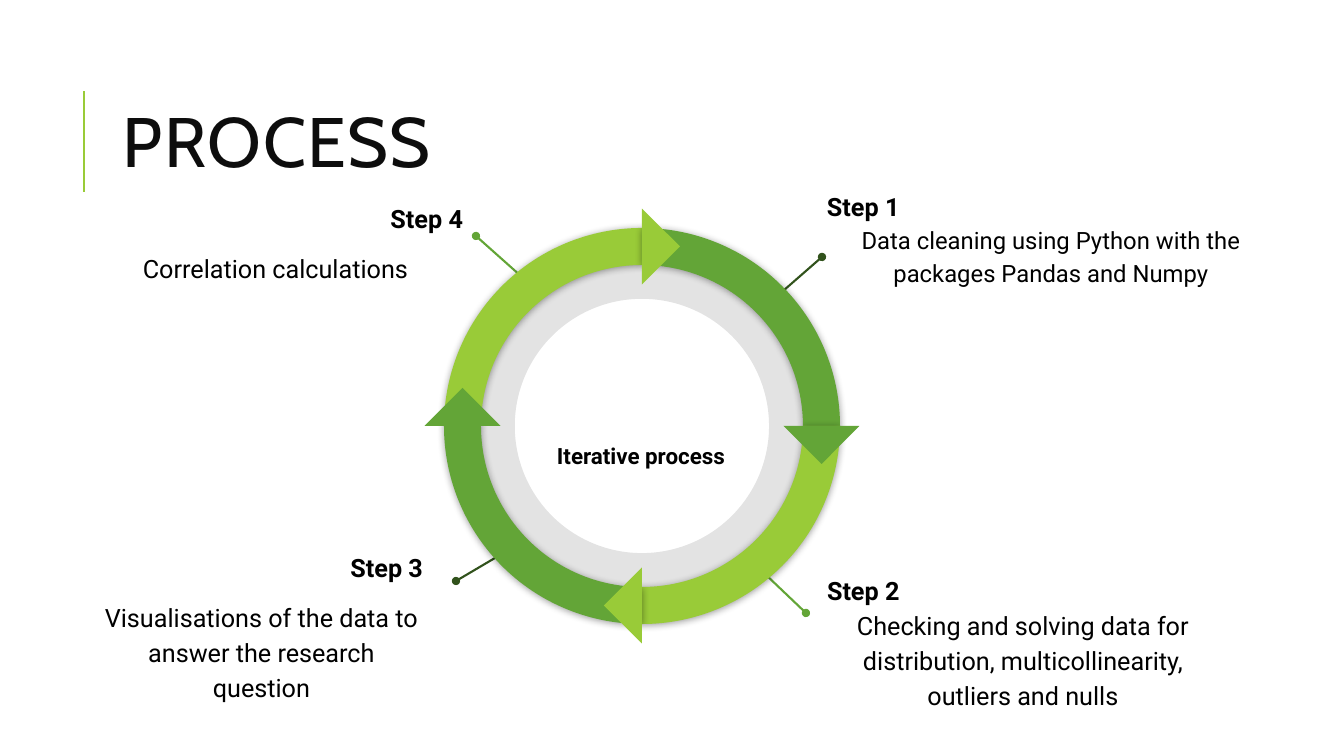
from math import cos, radians, sin

from lxml.etree import SubElement
from pptx import Presentation
from pptx.dml.color import RGBColor
from pptx.enum.shapes import MSO_CONNECTOR as Connector, MSO_SHAPE as Shape
from pptx.enum.text import MSO_ANCHOR as Anchor, PP_ALIGN as Align
from pptx.oxml.ns import qn
from pptx.util import Pt

LIME, GREEN, FOREST, BLACK = "99CB38", "63A537", "31521C", "000000"
TITLE = "PROCESS"
CORE = "Iterative process"
STEPS = [
    ("Step 1", "Data cleaning using Python with the packages Pandas and Numpy",
     (814, 174, 474, 165), Align.LEFT, 17, 0),
    ("Step 2", "Checking and solving data for distribution, multicollinearity, outliers and nulls",
     (814, 558, 418, 182), Align.LEFT, 18, 0),
    ("Step 3", "Visualisations of the data to answer the research question",
     (87, 535, 349, 99), Align.RIGHT, 18, 11),
    ("Step 4", "Correlation calculations",
     (75, 186, 401, 137), Align.RIGHT, 18, 11),
]
POINTERS = [
    ((822, 257), (775, 298), FOREST),
    ((806, 613), (764, 573), GREEN),
    ((456, 581), (495, 558), FOREST),
    ((476, 236), (522, 277), GREEN),
]
QUADRANTS = [(180, LIME), (270, GREEN), (0, LIME), (90, GREEN)]
CENTER_X, CENTER_Y = 642, 426
OUTER, BAND, DONUT = 198, 37, 187
HEAD_WIDTH, HEAD_LENGTH = 76, 38
EMU_PER_PX = 9071.43


def px(*lengths):
    return [round(length * EMU_PER_PX) for length in lengths]


def color(hex_code):
    return RGBColor.from_string(hex_code)


def add_solid(kind, center_x, center_y, width, height, fill):
    shape = page.shapes.add_shape(
        kind, *px(center_x - width / 2, center_y - height / 2, width, height))
    shape.shadow.inherit = False
    shape.fill.solid()
    shape.fill.fore_color.rgb = color(fill)
    shape.line.fill.background()
    return shape


def add_line(start, end, hex_code):
    line = page.shapes.add_connector(Connector.STRAIGHT, *px(*start, *end))
    line.line.color.rgb = color(hex_code)
    line.line.width = Pt(1.5)
    SubElement(line._element.spPr, qn("a:effectLst"))
    return line


def add_text(bounds, lines, anchor=Anchor.TOP, inset=13, spacing=1.15):
    box = page.shapes.add_textbox(*px(*bounds))
    frame = box.text_frame
    frame.word_wrap = True
    frame.vertical_anchor = anchor
    frame.margin_left, frame.margin_right = px(inset, inset)
    frame.margin_top, frame.margin_bottom = px(inset, inset)
    frame.text = "\n".join(line[0] for line in lines)
    for para, (_, size, bold, align, gap) in zip(frame.paragraphs, lines):
        para.alignment = align
        para.line_spacing = spacing
        if gap:
            para.space_before = Pt(gap)
        font = para.runs[0].font
        font.name, font.size, font.bold = "Roboto", Pt(size), bold
        font.color.rgb = color(BLACK)
    return frame


def add_shadow(shape):
    effects = shape._element.spPr.find(qn("a:effectLst"))
    shadow = SubElement(effects, qn("a:outerShdw"), blurRad="71120", dist="10160",
                        dir="5400000", algn="ctr", rotWithShape="0")
    shade = SubElement(shadow, qn("a:srgbClr"), val=BLACK)
    SubElement(shade, qn("a:alpha"), val="40000")


deck = Presentation()
deck.slide_width, deck.slide_height = px(1344, 756)
page = deck.slides.add_slide(deck.slide_layouts[6])

add_line((84, 192), (84, 91), LIME)
title = add_text((113, 65, 1072, 165), [(TITLE, 50, False, Align.LEFT, 0)],
                 Anchor.MIDDLE, 10, 0.8)
span = title.paragraphs[0].runs[0]
span.font.name = "Cabin"
span.font.color.rgb = color("0D0D0D")
span.font._element.set("spc", "100")

donut = add_solid(Shape.DONUT, CENTER_X, CENTER_Y, 2 * DONUT, 2 * DONUT, BLACK)
donut.adjustments[0] = 0.16
tint = donut._element.spPr.find(qn("a:solidFill")).find(qn("a:srgbClr"))
SubElement(tint, qn("a:alpha"), val="11000")

for start, end, hex_code in POINTERS:
    pointer = add_line(start, end, hex_code)
    SubElement(pointer.line._ln, qn("a:headEnd"), type="oval")

for name, detail, bounds, align, size, gap in STEPS:
    add_text(bounds, [(name, 18, True, align, 0),
                      (detail, size, False, Align.CENTER, gap)])
add_text((535, 395, 212, 118), [(CORE, 16, True, Align.CENTER, 0)], Anchor.MIDDLE)

for start, fill in QUADRANTS:
    arc = add_solid(Shape.BLOCK_ARC, CENTER_X, CENTER_Y, 2 * OUTER, 2 * OUTER, fill)
    arc.adjustments[0] = start * 0.6
    arc.adjustments[1] = (start + 90) % 360 * 0.6
    arc.adjustments[2] = BAND / (2 * OUTER)
    add_shadow(arc)

for start, fill in QUADRANTS:
    angle = radians(start + 90)
    middle, advance = OUTER - BAND / 2, HEAD_LENGTH / 2
    head = add_solid(Shape.ISOSCELES_TRIANGLE,
                     CENTER_X + middle * cos(angle) - advance * sin(angle),
                     CENTER_Y + middle * sin(angle) + advance * cos(angle),
                     HEAD_WIDTH, HEAD_LENGTH, fill)
    head.rotation = (start + 270) % 360

deck.save("out.pptx")
